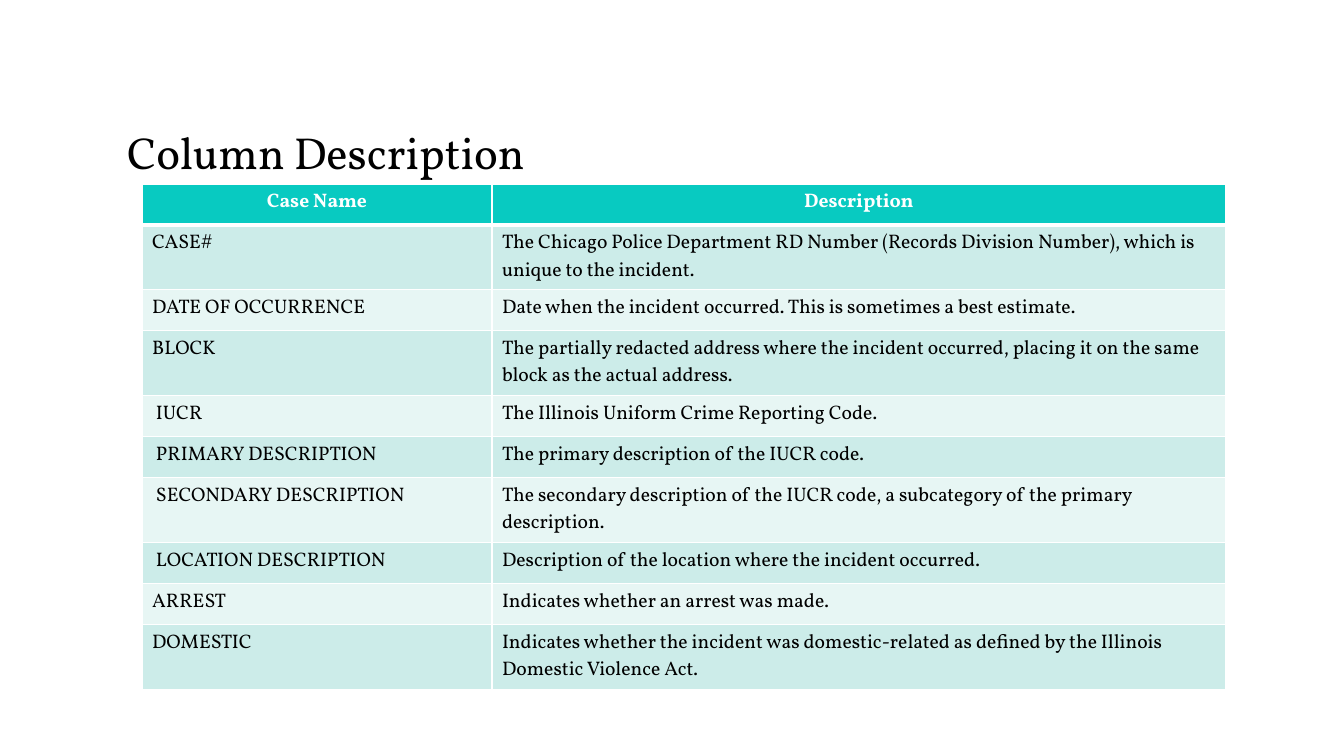
from lxml import etree
from pptx import Presentation
from pptx import util as u
from pptx.dml.color import RGBColor
from pptx.enum import text
from pptx.oxml import ns

PX = u.Inches(1) / 100.8
FONT = "Vollkorn"
BLACK = RGBColor(0x00, 0x00, 0x00)
WHITE = RGBColor(0xFF, 0xFF, 0xFF)
TEAL = RGBColor(0x08, 0xCA, 0xC1)
BANDS = [RGBColor(0xE7, 0xF6, 0xF4), RGBColor(0xCC, 0xEC, 0xE9)]

ROWS = [
    ("Case Name", "Description"),
    ("CASE#", "The Chicago Police Department RD Number (Records Division Number), "
              "which is unique to the incident."),
    ("DATE OF OCCURRENCE", "Date when the incident occurred. This is sometimes a best estimate."),
    ("BLOCK", "The partially redacted address where the incident occurred, "
              "placing it on the same block as the actual address."),
    (" IUCR", "The Illinois Uniform Crime Reporting Code."),
    (" PRIMARY DESCRIPTION", "The primary description of the IUCR code."),
    (" SECONDARY DESCRIPTION", "The secondary description of the IUCR code, "
                               "a subcategory of the primary description."),
    (" LOCATION DESCRIPTION", "Description of the location where the incident occurred."),
    ("ARREST", "Indicates whether an arrest was made."),
    ("DOMESTIC", "Indicates whether the incident was domestic-related "
                 "as defined by the Illinois Domestic Violence Act."),
]
COLUMN_WIDTHS = [350, 734]
ROW_HEIGHT = 41


def px(*lengths):
    return [u.Emu(round(length * PX)) for length in lengths]


def write(paragraph, words, **font_format):
    run = paragraph.add_run()
    run.text = words
    run.font.color.rgb = font_format.pop("color")
    for name, value in font_format.items():
        setattr(run.font, name, value)


# Slide
presentation = Presentation()
presentation.slide_width, presentation.slide_height = px(1344, 756)
slide = presentation.slides.add_slide(presentation.slide_layouts[5])

# Title
title = slide.shapes.title
title.left, title.top, title.width, title.height = px(117, 58, 1058, 126)
frame_format = {"vertical_anchor": text.MSO_ANCHOR.BOTTOM,
                "auto_size": text.MSO_AUTO_SIZE.NONE, "word_wrap": True}
for name, value in frame_format.items():
    setattr(title.text_frame, name, value)
paragraph = title.text_frame.paragraphs[0]
paragraph.alignment = text.PP_ALIGN.LEFT
paragraph.line_spacing = 0.9
write(paragraph, "Column Description", name=FONT, size=u.Pt(32), color=BLACK)

# Table
table = slide.shapes.add_table(
    len(ROWS), len(COLUMN_WIDTHS),
    *px(142, 184, sum(COLUMN_WIDTHS), ROW_HEIGHT * len(ROWS))).table
for column, width in zip(table.columns, px(*COLUMN_WIDTHS)):
    column.width = width

for row_index, words_in_row in enumerate(ROWS):
    table.rows[row_index].height = px(ROW_HEIGHT)[0]
    header = row_index == 0
    for column_index, words in enumerate(words_in_row):
        cell = table.cell(row_index, column_index)

        # White borders, heavier under the header
        properties = cell._tc.get_or_add_tcPr()
        for side in ("lnL", "lnR", "lnT", "lnB"):
            heavy = (row_index, side) in [(0, "lnB"), (1, "lnT")]
            line = etree.SubElement(properties, ns.qn("a:" + side),
                                    w=str(u.Pt(3 if heavy else 1)))
            fill = etree.SubElement(line, ns.qn("a:solidFill"))
            etree.SubElement(fill, ns.qn("a:srgbClr"), val=str(WHITE))

        cell.fill.solid()
        cell.fill.fore_color.rgb = TEAL if header else BANDS[row_index % 2]
        paragraph = cell.text_frame.paragraphs[0]
        paragraph.alignment = text.PP_ALIGN.CENTER if header else text.PP_ALIGN.LEFT
        write(paragraph, words, name=FONT, size=u.Pt(14), bold=header,
              color=WHITE if header else BLACK)

presentation.save("out.pptx")
